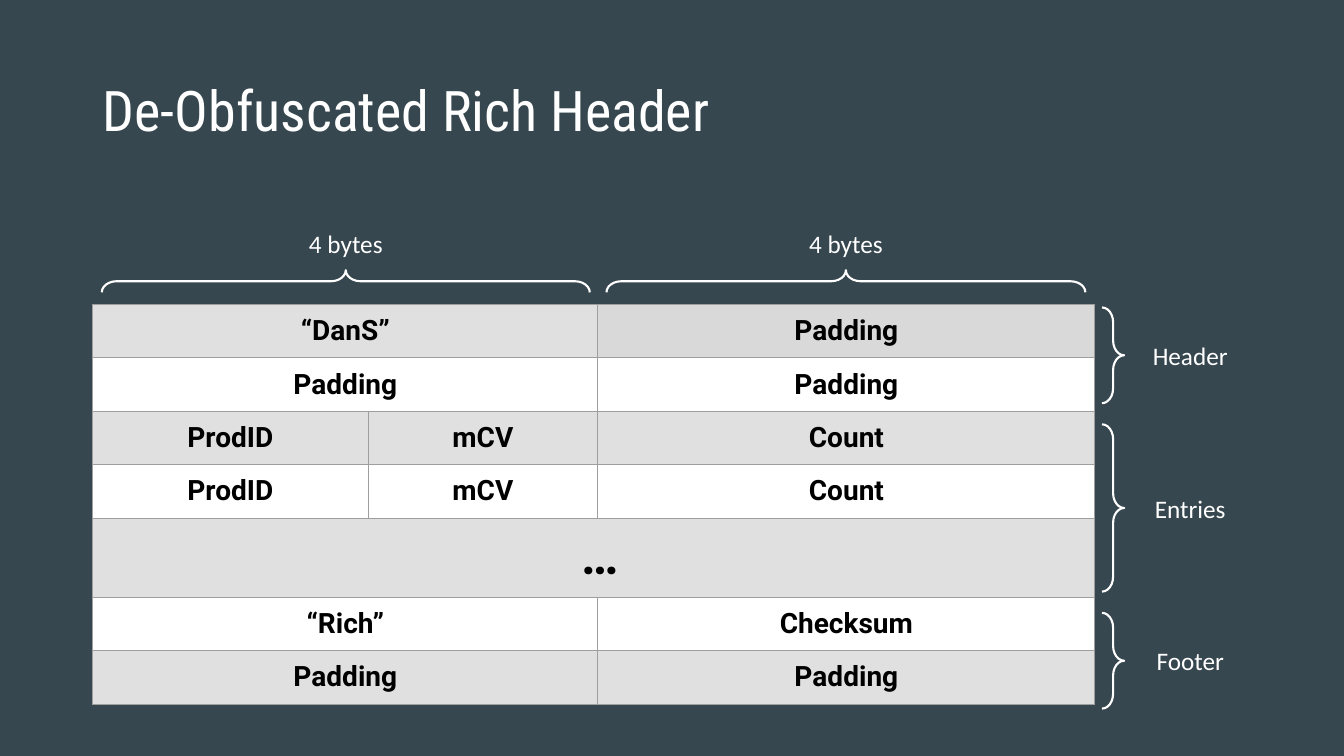
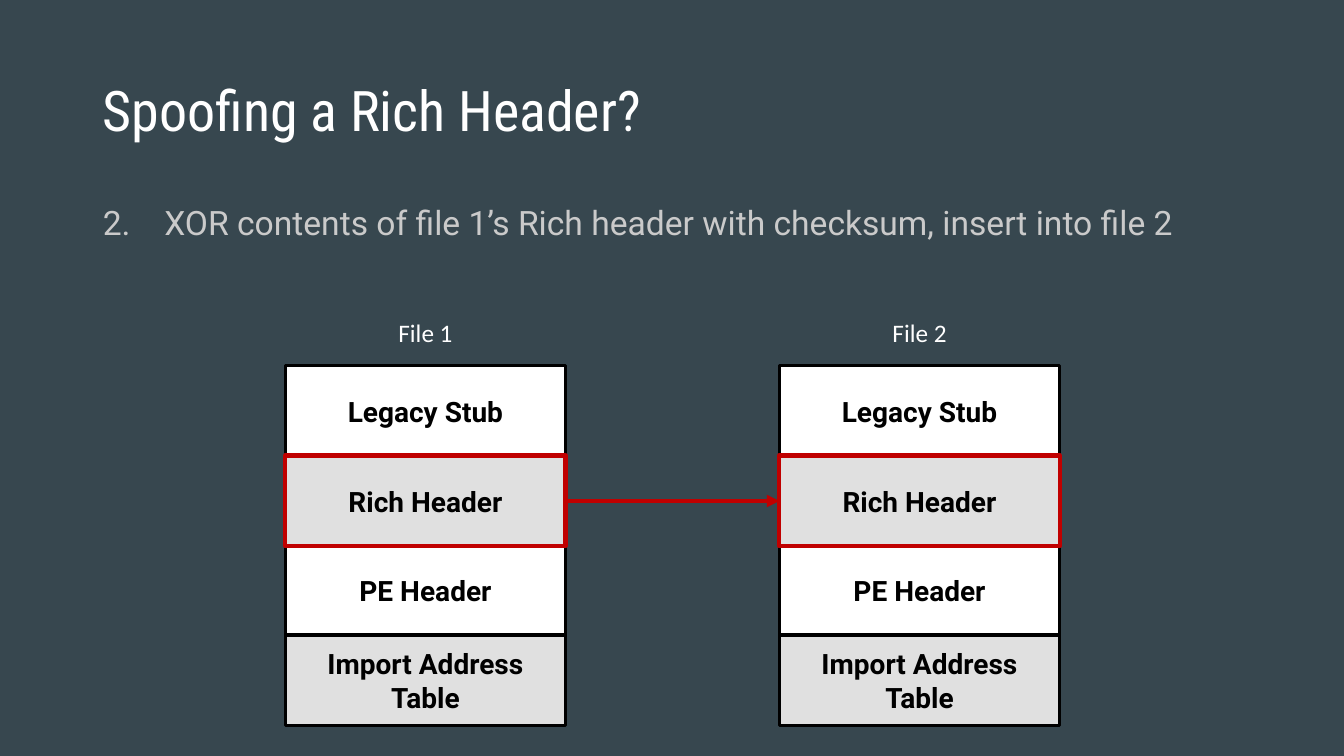
import pptx
import pptx.dml.color
import pptx.enum.shapes
import pptx.enum.text
import pptx.oxml
import pptx.oxml.ns
import pptx.util
from dataclasses import dataclass

Inches, Pt = pptx.util.Inches, pptx.util.Pt
RGB = pptx.dml.color.RGBColor.from_string
Shape = pptx.enum.shapes.MSO_SHAPE
Anchor = pptx.enum.text.MSO_ANCHOR
Align = pptx.enum.text.PP_ALIGN
NS = pptx.oxml.ns.nsdecls("a")


@dataclass(frozen=True)
class Theme:
    background: str = "37474F"
    light: str = "FFFFFF"
    band: str = "E0E0E0"
    band_dark: str = "D9D9D9"
    dark: str = "000000"
    muted: str = "CACACA"
    grid: str = "9E9E9E"
    accent: str = "C00000"
    title_font: str = "Roboto Condensed"
    body_font: str = "Roboto"
    label_font: str = "Calibri"
    title_size: int = 40
    ellipsis_size: int = 36
    body_size: int = 24
    field_size: int = 20
    label_size: int = 18


T = Theme()

LAYOUT_TITLE = "De-Obfuscated Rich Header"
COLUMNS = [2.73, 2.28, 4.93]
ROW_HEIGHT, ELLIPSIS_HEIGHT = 0.53, 0.78
ELLIPSIS = " …"
ENTRY = [("ProdID", 1), ("mCV", 1), ("Count", 1)]
FIELDS = [
    [("“DanS”", 2), ("Padding", 1)],
    [("Padding", 2), ("Padding", 1)],
    ENTRY,
    ENTRY,
    [(ELLIPSIS, 3)],
    [("“Rich”", 2), ("Checksum", 1)],
    [("Padding", 2), ("Padding", 1)],
]
SECTIONS = [("Header", 3.05, 0.95), ("Entries", 4.21, 1.66), ("Footer", 6.08, 0.95)]
WIDTHS = [("4 bytes", 3.43, 4.84), ("4 bytes", 8.39, 4.75)]
BRACE_DEPTH = 0.22
LABEL_WIDTH, LABEL_HEIGHT = 1.19, 0.67

SPOOF_TITLE = "Spoofing a Rich Header?"
STEP_NUMBER = 2
STEP = "XOR contents of file 1’s Rich header with checksum, insert into file 2"
FILES = [("File 1", 2.83), ("File 2", 7.73)]
PARTS = ["Legacy Stub", "Rich Header", "PE Header", "Import Address Table"]
MOVED_PART = "Rich Header"
PART_TOP, PART_PITCH, PART_WIDTH, PART_HEIGHT = 3.63, 0.89, 2.78, 0.9


def write(frame, text, font=T.body_font, size=T.field_size, color=T.dark, bold=False,
          align=Align.CENTER, spacing=None, before=None, after=None):
    paragraph = frame.paragraphs[0]
    paragraph.alignment = align
    if spacing is not None:
        paragraph.line_spacing = spacing
    if before is not None:
        paragraph.space_before = Pt(before)
    if after is not None:
        paragraph.space_after = Pt(after)
    run = paragraph.add_run()
    run.text = text
    run.font.name, run.font.size, run.font.bold = font, Pt(size), bold
    run.font.color.rgb = RGB(color)
    return paragraph


def place(part, left, top, width, height):
    part.left, part.top = Inches(left), Inches(top)
    part.width, part.height = Inches(width), Inches(height)


def prepare(frame, anchor):
    frame.word_wrap = True
    frame.auto_size = pptx.enum.text.MSO_AUTO_SIZE.NONE
    frame.vertical_anchor = anchor


def add_slide(deck, layout, title):
    slide = deck.slides.add_slide(deck.slide_layouts[layout])
    heading = slide.shapes.title
    place(heading, 0.92, 0.4, 11.5, 1.45)
    prepare(heading.text_frame, Anchor.MIDDLE)
    write(heading.text_frame, title, font=T.title_font, size=T.title_size,
          color=T.light, align=Align.LEFT, spacing=0.9)
    return slide


def add_label(slide, text, left, top, anchor=Anchor.MIDDLE):
    label = slide.shapes.add_textbox(Inches(left), Inches(top),
                                     Inches(LABEL_WIDTH), Inches(LABEL_HEIGHT))
    prepare(label.text_frame, anchor)
    write(label.text_frame, text, font=T.label_font, size=T.label_size, color=T.light)


def add_brace(slide, center_x, center_y, span, rotation=0):
    brace = slide.shapes.add_shape(
        Shape.RIGHT_BRACE, Inches(center_x - BRACE_DEPTH / 2), Inches(center_y - span / 2),
        Inches(BRACE_DEPTH), Inches(span))
    brace.rotation = rotation
    brace.adjustments[0] = 0.67
    brace.shadow.inherit = False
    brace.fill.background()
    brace.line.color.rgb = RGB(T.light)
    brace.line.width = Pt(1.5)


def fill_cell(cell, color):
    cell.fill.solid()
    cell.fill.fore_color.rgb = RGB(color)


def add_borders(cell):
    properties = cell._tc.get_or_add_tcPr()
    for side in ("lnL", "lnR", "lnT", "lnB"):
        properties.append(pptx.oxml.parse_xml(
            f'<a:{side} {NS} w="{Pt(0.75)}"><a:solidFill>'
            f'<a:srgbClr val="{T.grid}"/></a:solidFill></a:{side}>'))


def add_field_table(slide):
    heights = [ELLIPSIS_HEIGHT if row[0][0] == ELLIPSIS else ROW_HEIGHT for row in FIELDS]
    table = slide.shapes.add_table(
        len(FIELDS), len(COLUMNS), Inches(0.92), Inches(3.02),
        Inches(sum(COLUMNS)), Inches(sum(heights))).table
    table.first_row = table.horz_banding = False
    for column, width in zip(table.columns, COLUMNS):
        column.width = Inches(width)
    for index, (fields, height) in enumerate(zip(FIELDS, heights)):
        table.rows[index].height = Inches(height)
        for cell in table.rows[index].cells:
            add_borders(cell)
            fill_cell(cell, T.light if index % 2 else T.band)
            cell.vertical_anchor = Anchor.MIDDLE
            cell.margin_left = cell.margin_right = Inches(0.1)
            cell.margin_top = cell.margin_bottom = Inches(0.1)
        start = 0
        for text, span in fields:
            cell = table.cell(index, start)
            if span > 1:
                cell.merge(table.cell(index, start + span - 1))
            write(cell.text_frame, text, bold=True,
                  size=T.ellipsis_size if text == ELLIPSIS else T.field_size)
            start += span
    fill_cell(table.cell(0, 2), T.band_dark)


def build_layout_slide(deck):
    slide = add_slide(deck, 5, LAYOUT_TITLE)
    add_field_table(slide)
    for text, top, height in SECTIONS:
        middle = top + height / 2
        add_brace(slide, 11.04, middle, height)
        add_label(slide, text, 11.21, middle - LABEL_HEIGHT / 2)
    for text, center, width in WIDTHS:
        add_brace(slide, center, 2.79, width, rotation=270)
        add_label(slide, text, center - LABEL_WIDTH / 2, 2.22, anchor=Anchor.TOP)


def add_step(slide):
    body = slide.placeholders[1]
    place(body, 0.92, 2, 11.5, 4.76)
    prepare(body.text_frame, Anchor.TOP)
    step = write(body.text_frame, STEP, size=T.body_size, color=T.muted,
                 align=Align.LEFT, spacing=0.9, before=10, after=21)
    properties = step._p.get_or_add_pPr()
    properties.set("marL", str(Inches(0.61)))
    properties.set("indent", str(-Inches(0.61)))
    properties.append(pptx.oxml.parse_xml(
        f'<a:buFont {NS} typeface="{T.body_font}"/>'))
    properties.append(pptx.oxml.parse_xml(
        f'<a:buAutoNum {NS} type="arabicPeriod" startAt="{STEP_NUMBER}"/>'))


def add_part(slide, index, left):
    text = PARTS[index]
    moved = text == MOVED_PART
    part = slide.shapes.add_shape(
        Shape.RECTANGLE, Inches(left), Inches(PART_TOP + index * PART_PITCH),
        Inches(PART_WIDTH), Inches(PART_HEIGHT))
    part.shadow.inherit = False
    part.fill.solid()
    part.fill.fore_color.rgb = RGB(T.band if index % 2 else T.light)
    part.line.color.rgb = RGB(T.accent if moved else T.dark)
    part.line.width = Pt(3 if moved else 2.25)
    frame = part.text_frame
    prepare(frame, Anchor.MIDDLE)
    frame.margin_left = frame.margin_right = Inches(0.1)
    frame.margin_top = frame.margin_bottom = Inches(0.1)
    write(frame, text, bold=True)
    return part


def add_arrow(slide, source, target):
    arrow = slide.shapes.add_connector(pptx.enum.shapes.MSO_CONNECTOR.STRAIGHT, 0, 0, 0, 0)
    arrow.begin_connect(source, 3)
    arrow.end_connect(target, 1)
    arrow.line.color.rgb = RGB(T.accent)
    arrow.line.width = Pt(3)
    arrow.line._get_or_add_ln().append(
        pptx.oxml.parse_xml(f'<a:tailEnd {NS} type="triangle"/>'))
    arrow._element.spPr.append(pptx.oxml.parse_xml(f"<a:effectLst {NS}/>"))


def build_spoof_slide(deck):
    slide = add_slide(deck, 1, SPOOF_TITLE)
    add_step(slide)
    moved_index = PARTS.index(MOVED_PART)
    draw_order = [i for i in range(len(PARTS)) if i != moved_index] + [moved_index]
    moved_parts = []
    for name, left in FILES:
        add_label(slide, name, left + (PART_WIDTH - LABEL_WIDTH) / 2, PART_TOP - LABEL_HEIGHT)
        parts = [add_part(slide, index, left) for index in draw_order]
        moved_parts.append(parts[-1])
    add_arrow(slide, *moved_parts)


def main():
    deck = pptx.Presentation()
    deck.slide_width, deck.slide_height = Inches(13.33), Inches(7.5)
    backdrop = deck.slide_master.background.fill
    backdrop.solid()
    backdrop.fore_color.rgb = RGB(T.background)
    build_layout_slide(deck)
    build_spoof_slide(deck)
    deck.save("out.pptx")


if __name__ == "__main__":
    main()
